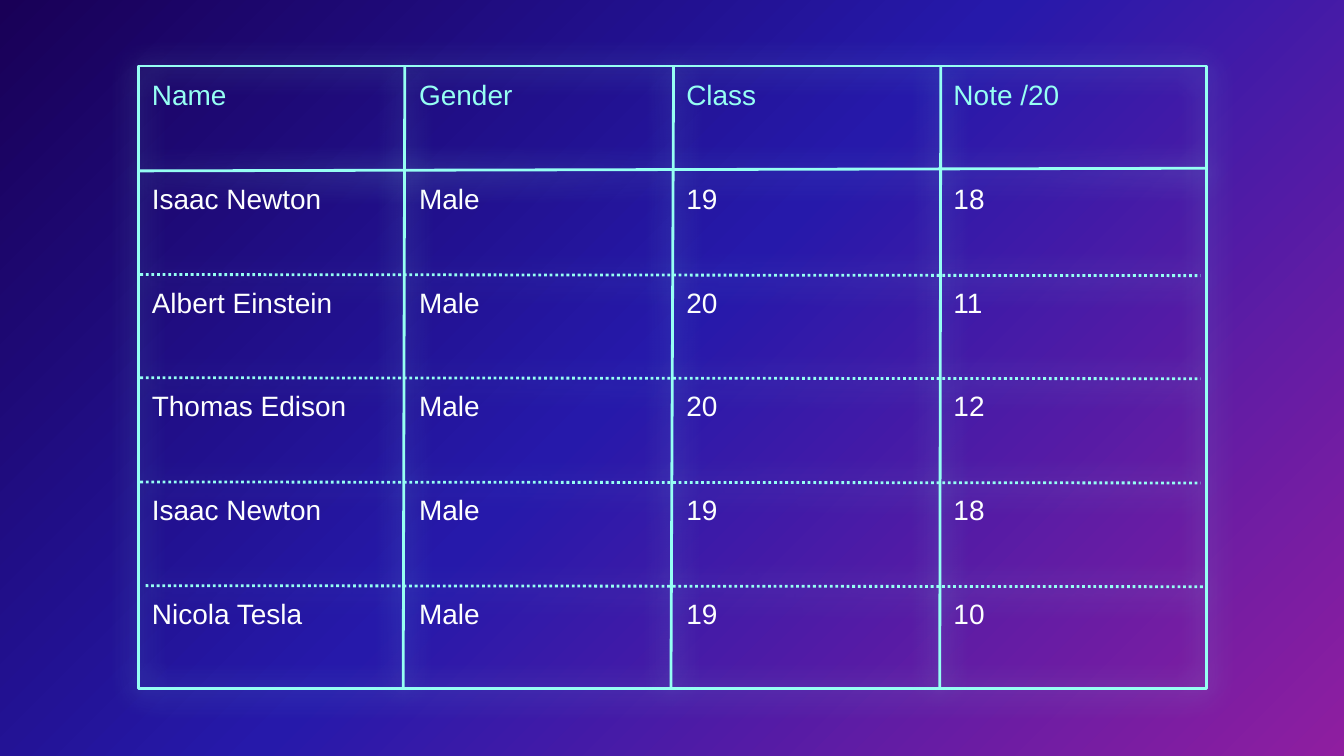
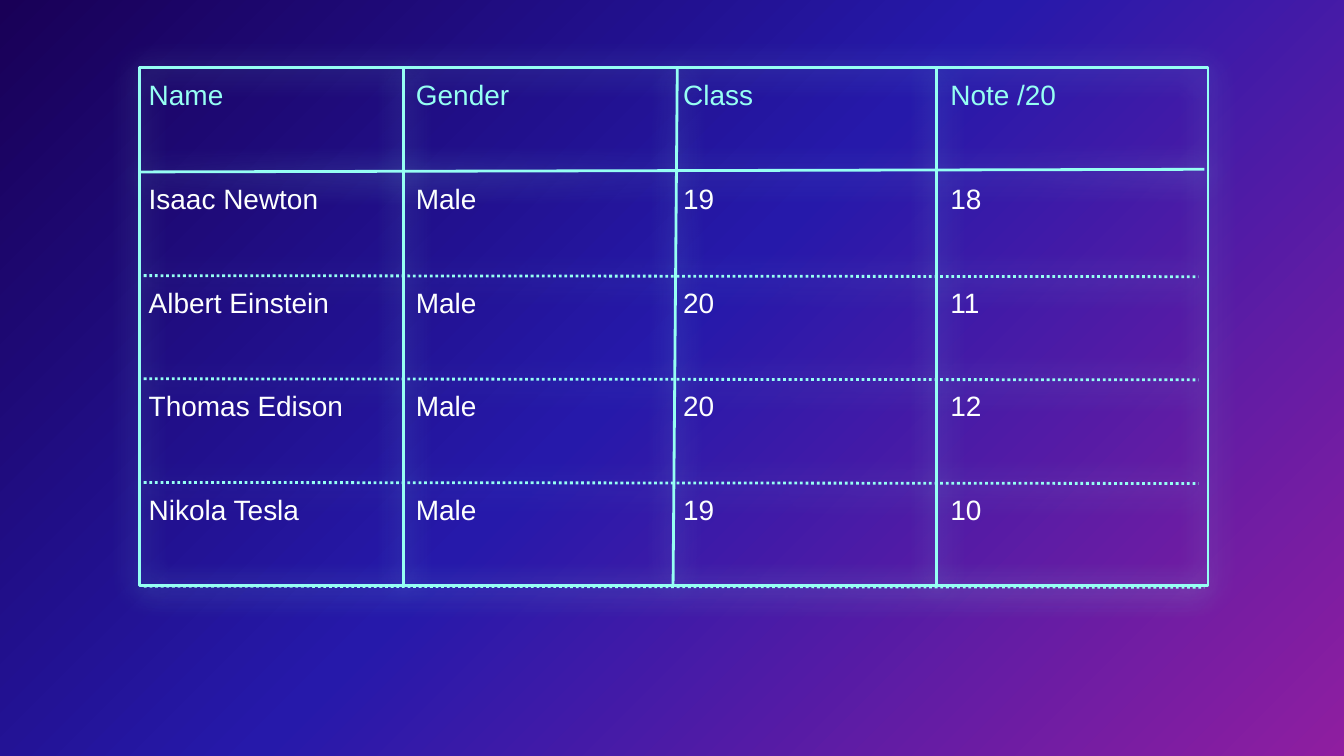
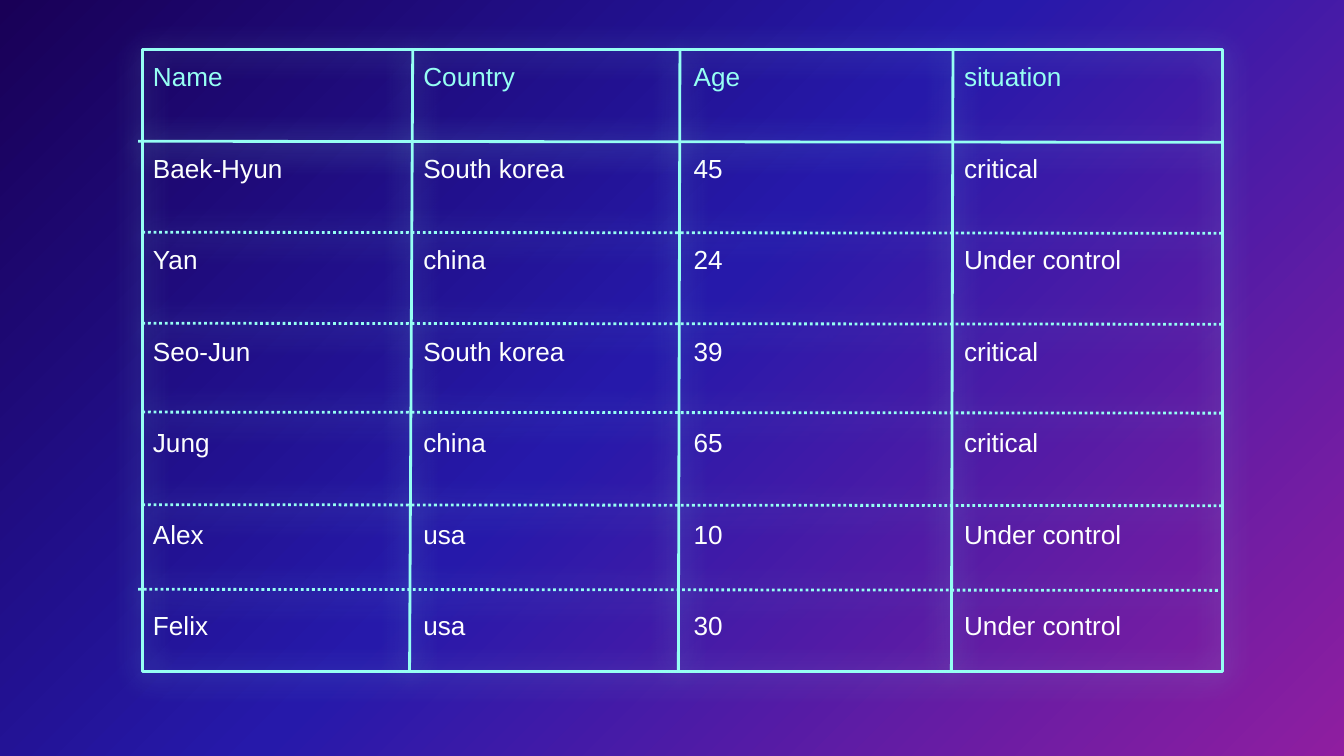
import pptx
import pptx.util
import pptx.dml.color
import pptx.enum.dml
import pptx.enum.shapes
import pptx.enum.text
import pptx.oxml
import pptx.oxml.ns

Cm = pptx.util.Cm
Pt = pptx.util.Pt
HUES = {"night": "190057", "blue": "2619AA", "plum": "8F1EA0", "glow": "96FFF3", "text": "FFFFFF"}
STOPS = [("night", 0), ("blue", 48), ("plum", 100)]
FONT = "Arial"
PLAIN = "{2D5ABB26-0587-4C30-8999-92F81FD0307C}"
NS = pptx.oxml.ns.nsdecls("a")
FLAT = {"first_row": False, "horz_banding": False}
PAD = {f"margin_{side}": Cm(0.25) for side in ("left", "top", "right", "bottom")}
PAD["vertical_anchor"] = pptx.enum.text.MSO_ANCHOR.TOP
DOT = pptx.enum.dml.MSO_LINE.ROUND_DOT


def tint(name):
    return pptx.dml.color.RGBColor.from_string(HUES[name])


def apply(item, form):
    for key, value in form.items():
        setattr(item, key, value)


def paint(deck):
    fill = deck.slide_master.background.fill
    fill.gradient()
    fill.gradient_angle = 315
    stops = fill.gradient_stops[0]._gs.getparent()
    stops.clear()
    for name, spot in STOPS:
        stops.append(pptx.oxml.parse_xml(
            f'<a:gs {NS} pos="{spot * 1000}"><a:srgbClr val="{HUES[name]}"/></a:gs>'))


def shine(shape, dash=None):
    apply(shape.line, {"width": Pt(1.5), "dash_style": dash})
    shape.line.color.rgb = tint("glow")
    shape._element.spPr.append(pptx.oxml.parse_xml(
        f'<a:effectLst {NS}><a:outerShdw blurRad="{Pt(15.8)}" dist="{Pt(1.5)}" dir="5400000" '
        f'algn="bl" rotWithShape="0"><a:srgbClr val="{HUES["glow"]}"><a:alpha val="67000"/>'
        '</a:srgbClr></a:outerShdw></a:effectLst>'))


def stroke(slide, box, start, end, dash=None):
    left, top = box[:2]
    line = slide.shapes.add_connector(
        pptx.enum.shapes.MSO_CONNECTOR.STRAIGHT,
        Cm(left + start[0]), Cm(top + start[1]), Cm(left + end[0]), Cm(top + end[1]))
    shine(line, dash)


def fill_cells(slide, box, shift, step, size, rows):
    wide, high = step
    count = len(rows[0])
    frame = slide.shapes.add_table(
        len(rows), count, Cm(box[0] + shift[0]), Cm(box[1] + shift[1]),
        Cm(wide * count), Cm(high * len(rows)))
    table = frame.table
    apply(table, FLAT)
    table._tbl.tblPr.find(pptx.oxml.ns.qn("a:tableStyleId")).text = PLAIN
    for col in table.columns:
        col.width = Cm(wide)
    for r, words in enumerate(rows):
        table.rows[r].height = Cm(high)
        for c, word in enumerate(words):
            cell = table.cell(r, c)
            apply(cell, PAD)
            cell.fill.background()
            run = cell.text_frame.paragraphs[0].add_run()
            run.text = word
            apply(run.font, {"name": FONT, "size": Pt(size)})
            run.font.color.rgb = tint("text" if r else "glow")


def draw_grid(slide, box, posts, head, dots, span):
    left, top, wide, high = box
    frame = slide.shapes.add_shape(
        pptx.enum.shapes.MSO_SHAPE.RECTANGLE, Cm(left), Cm(top), Cm(wide), Cm(high))
    frame.fill.background()
    shine(frame)
    for foot, tip in posts:
        stroke(slide, box, (foot, high), (tip, 0))
    for start, drop in dots:
        stroke(slide, box, (start, drop), (start + span, drop + 0.02), DOT)
    start, drop, end, rise = head
    stroke(slide, box, (start, drop), (end, rise))


def add_page(deck, page):
    slide = deck.slides.add_slide(deck.slide_layouts[6])
    box = page["box"]
    fill_cells(slide, box, page["shift"], page["step"], page["size"], page["rows"])
    draw_grid(slide, box, page["posts"], page["head"], page["dots"], page["span"])


MARKS = ["Name", "Gender", "Class", "Note /20"]
NEWTON = ["Isaac Newton", "Male", "19", "18"]
PEERS = [
    ["Albert Einstein", "Male", "20", "11"],
    ["Thomas Edison", "Male", "20", "12"],
]

PAGES = [
    {
        "box": (2.62, 1.25, 20.19, 11.76),
        "shift": (0, 0.02), "step": (5.05, 1.96), "size": 15,
        "posts": [(5, 5.03), (10.06, 10.11), (15.14, 15.16)],
        "head": (0.03, 1.98, 20.17, 1.93),
        "dots": [(0.03, 3.94), (0.03, 5.89), (0.03, 7.86), (0.13, 9.82)],
        "span": 20.04,
        "rows": [MARKS, NEWTON, *PEERS, NEWTON, ["Nicola Tesla", "Male", "19", "10"]],
    },
    {
        "box": (2.64, 1.27, 20.19, 9.8),
        "shift": (-0.08, 0), "step": (5.05, 1.96), "size": 15,
        "posts": [(4.98, 4.98), (10.08, 10.16), (15.06, 15.06)],
        "head": (-0.03, 1.98, 20.12, 1.93),
        "dots": [(-0.03, 3.94), (-0.03, 5.89), (-0.03, 7.85), (0.08, 9.81)],
        "span": 20.04,
        "rows": [MARKS, NEWTON, *PEERS, ["Nikola Tesla", "Male", "19", "10"]],
    },
    {
        "box": (2.69, 0.94, 20.42, 11.76),
        "shift": (-0.05, 0), "step": (5.11, 1.73), "size": 14,
        "posts": [(5.05, 5.11), (10.13, 10.16), (15.29, 15.32)],
        "head": (-0.08, 1.73, 20.4, 1.75),
        "dots": [(0, 3.45), (0, 5.17), (0, 6.85), (0, 8.6), (-0.08, 10.2)],
        "span": 20.42,
        "rows": [
            ["Name", "Country", "Age", "situation"],
            ["Baek-Hyun", "South korea", "45", "critical"],
            ["Yan", "china", "24", "Under control"],
            ["Seo-Jun", "South korea", "39", "critical"],
            ["Jung", "china", "65", "critical"],
            ["Alex", "usa", "10", "Under control"],
            ["Felix", "usa", "30", "Under control"],
        ],
    },
]


def main():
    deck = pptx.Presentation()
    apply(deck, {"slide_width": Cm(25.4), "slide_height": Cm(14.29)})
    paint(deck)
    for page in PAGES:
        add_page(deck, page)
    deck.save("out.pptx")


if __name__ == "__main__":
    main()
